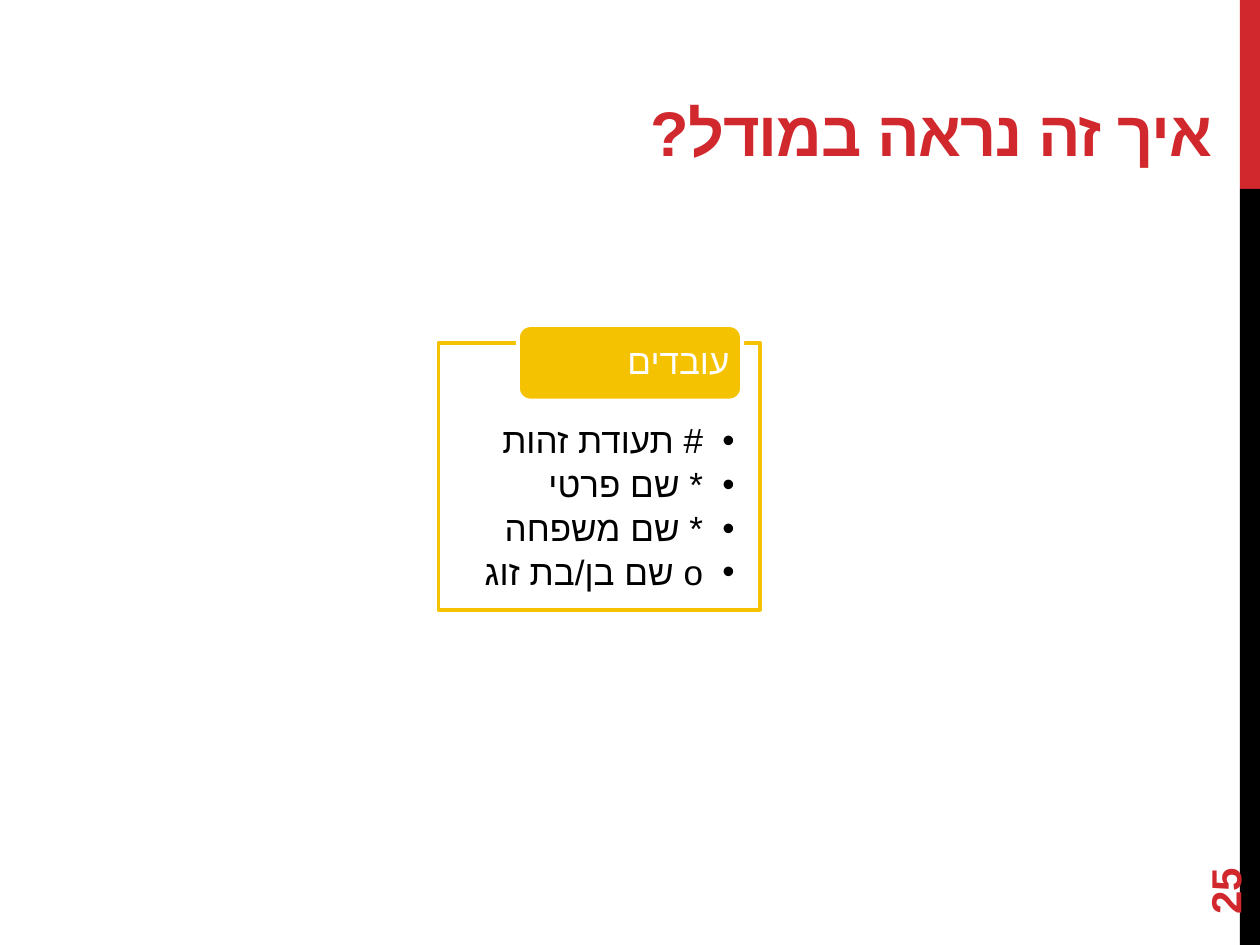
from lxml.etree import SubElement
from pptx import Presentation
from pptx.dml.color import RGBColor
from pptx.enum.shapes import MSO_SHAPE as SHAPE
from pptx.enum.text import MSO_ANCHOR as ANCHOR, MSO_AUTO_SIZE as AUTO, PP_ALIGN as ALIGN
from pptx.oxml.ns import qn
from pptx.util import Inches, Pt

COLORS = {"red": "D1282E", "black": "000000", "white": "FFFFFF", "yellow": "F5C201"}
TITLE = "איך זה נראה במודל?"
ENTITY = "עובדים"
ATTRIBUTES = ["# תעודת זהות", "* שם פרטי", "* שם משפחה", "o שם בן/בת זוג"]


def rgb(name):
    return RGBColor.from_string(COLORS[name])


def place(sp, left, top, width, height):
    sp.left, sp.top = Inches(left), Inches(top)
    sp.width, sp.height = Inches(width), Inches(height)


def add_block(slide, kind, box, fill, line=None):
    sp = slide.shapes.add_shape(kind, *map(Inches, box))
    sp.shadow.inherit = False
    sp.fill.solid()
    sp.fill.fore_color.rgb = rgb(fill)
    if line:
        sp.line.color.rgb = rgb(line)
        sp.line.width = Pt(2.25)
    else:
        sp.line.fill.background()
    return sp


def set_frame(tf, anchor, insets=(0.1, 0.05, 0.1, 0.05)):
    tf.word_wrap = True
    tf.auto_size = AUTO.NONE
    tf.vertical_anchor = anchor
    tf.margin_left, tf.margin_top, tf.margin_right, tf.margin_bottom = map(Inches, insets)


def format_runs(p, size, color, font="Arial", bold=False):
    for r in p.runs:
        r.font.size = Pt(size)
        r.font.bold = bold
        r.font.name = font
        r.font.color.rgb = rgb(color)
        SubElement(r.font._element, qn("a:cs")).set("typeface", "Arial")


def set_rtl(p):
    p.alignment = ALIGN.RIGHT
    p._p.get_or_add_pPr().set("rtl", "1")


def add_bullet(p):
    pPr = p._p.get_or_add_pPr()
    pPr.set("marL", str(Inches(0.25)))
    pPr.set("indent", str(-Inches(0.25)))
    SubElement(pPr, qn("a:buFont")).set("typeface", "Arial")
    SubElement(pPr, qn("a:buChar")).set("char", "•")


def set_spacing(p, after):
    p.line_spacing = 0.9
    p.space_before = Pt(0)
    p.space_after = Pt(after)


def fill_title(title):
    place(title, 0.5, 0.17, 9.22, 1.22)
    tf = title.text_frame
    tf.text = TITLE
    set_frame(tf, ANCHOR.BOTTOM)
    p = tf.paragraphs[0]
    set_rtl(p)
    format_runs(p, 36, "red", "Montserrat", True)
    p.runs[0].font._element.set("spc", "-60")


def add_slide_number(slide):
    sp = slide.shapes.add_textbox(*map(Inches, (9, 6.44, 1.44, 0.4)))
    sp.rotation = 270
    tf = sp.text_frame
    tf.text = "25"
    set_frame(tf, ANCHOR.MIDDLE)
    tf.paragraphs[0].alignment = ALIGN.LEFT
    format_runs(tf.paragraphs[0], 24, "red", bold=True)


def add_entity(slide, body):
    """Draw the entity's frame, its attribute list and its name tab."""
    box = (3.48, 2.72, 2.55, 2.12)
    frame = add_block(slide, SHAPE.RECTANGLE, box, "white", "yellow")
    color = frame.fill._xPr.find(qn("a:solidFill"))[0]
    SubElement(color, qn("a:alpha")).set("val", "90000")
    body._element.addprevious(frame._element)

    place(body, *box)
    tf = body.text_frame
    tf.text = "\n".join(ATTRIBUTES)
    set_frame(tf, ANCHOR.TOP, (0.2, 0.64, 0.2, 0.16))
    for p in tf.paragraphs:
        p.level = 1
        add_bullet(p)
        set_rtl(p)
        set_spacing(p, 3.5)
        format_runs(p, 20, "black")

    tab = add_block(slide, SHAPE.ROUNDED_RECTANGLE, (4.11, 2.58, 1.78, 0.6), "yellow", "white")
    tf = tab.text_frame
    tf.text = ENTITY
    set_frame(tf, ANCHOR.MIDDLE, (0.07, 0, 0.07, 0))
    p = tf.paragraphs[0]
    set_rtl(p)
    set_spacing(p, 0)
    format_runs(p, 20, "white")


def main():
    prs = Presentation()
    prs.slide_width, prs.slide_height = Inches(10), Inches(7.5)
    slide = prs.slides.add_slide(prs.slide_layouts[1])
    add_block(slide, SHAPE.RECTANGLE, (9.84, 0, 0.16, 1.5), "red")
    add_block(slide, SHAPE.RECTANGLE, (9.84, 1.5, 0.16, 6), "black")
    fill_title(slide.shapes.title)
    add_slide_number(slide)
    add_entity(slide, slide.placeholders[1])
    prs.save("out.pptx")


if __name__ == "__main__":
    main()
